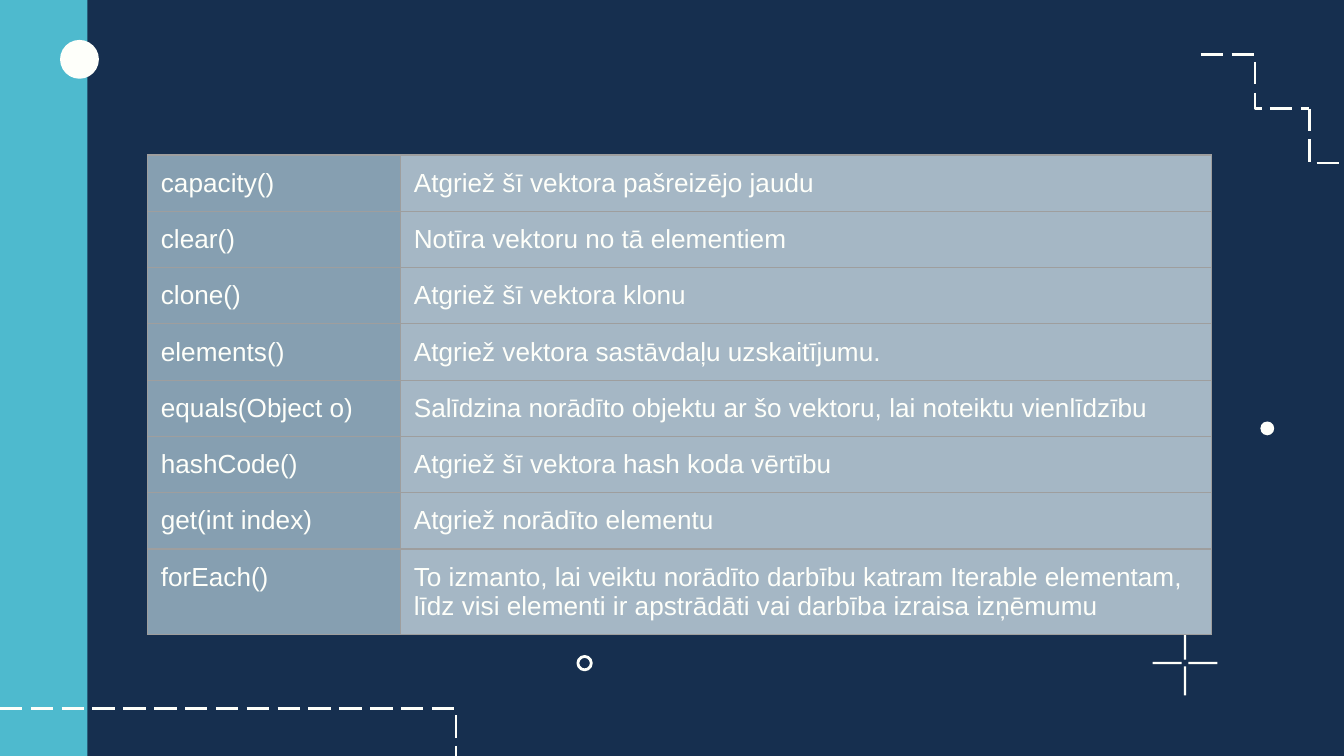
from lxml.etree import SubElement
from pptx import Presentation
from pptx.dml.color import RGBColor
from pptx.enum.dml import MSO_LINE
from pptx.enum.shapes import MSO_CONNECTOR, MSO_SHAPE
from pptx.oxml.ns import qn
from pptx.util import Pt

NAVY, TEAL, IVORY, BORDER = "162F4F", "4EBACE", "FEFFFA", "9E9E9E"
COLUMN_FILLS = ("869FB1", "A5B7C5")
COLUMN_WIDTHS = (135.5, 434.5)
ROW_HEIGHT = 30
CELL_FORMAT = {"margin_left": Pt(7.2), "margin_right": Pt(7.2),
               "margin_top": Pt(7.2), "margin_bottom": Pt(7.2)}
FONT_FORMAT = {"name": "Arial", "size": Pt(14), "bold": False}
METHODS = (
    ("capacity()", "Atgriež šī vektora pašreizējo jaudu"),
    ("clear()", "Notīra vektoru no tā elementiem"),
    ("clone()", "Atgriež šī vektora klonu"),
    ("elements()", "Atgriež vektora sastāvdaļu uzskaitījumu."),
    ("equals(Object o)", "Salīdzina norādīto objektu ar šo vektoru, lai noteiktu vienlīdzību"),
    ("hashCode()", "Atgriež šī vektora hash koda vērtību"),
    ("get(int index)", "Atgriež norādīto elementu"),
    ("forEach()", "To izmanto, lai veiktu norādīto darbību katram Iterable elementam, "
                  "līdz visi elementi ir apstrādāti vai darbība izraisa izņēmumu"),
)


def color(value):
    return RGBColor.from_string(value)


def apply_format(target, values):
    for name, value in values.items():
        setattr(target, name, value)


def add_filled(slide, kind, left, top, width, height, fill=IVORY):
    shape = slide.shapes.add_shape(kind, Pt(left), Pt(top), Pt(width), Pt(height))
    shape.shadow.inherit = False
    shape.fill.solid()
    shape.fill.fore_color.rgb = color(fill)
    shape.line.fill.background()
    return shape


def add_ring(slide, left, top, size):
    ring = add_filled(slide, MSO_SHAPE.OVAL, left, top, size, size)
    ring.fill.background()
    ring.line.color.rgb = color(IVORY)
    ring.line.width = Pt(1.5)


def add_dashed_step(slide, left, top, width, height, bend=50000, turn=None):
    connector = slide.shapes.add_connector(
        MSO_CONNECTOR.ELBOW, Pt(left), Pt(top), Pt(left + width), Pt(top + height))
    connector.line.color.rgb = color(IVORY)
    apply_format(connector.line, {"width": Pt(1.5), "dash_style": MSO_LINE.LONG_DASH})
    properties = connector._element.spPr
    SubElement(properties, qn("a:effectLst"))
    adjustments = properties.find(qn("a:prstGeom")).get_or_add_avLst()
    SubElement(adjustments, qn("a:gd"), name="adj1", fmla=f"val {bend}")
    for name, value in (turn or {}).items():
        properties.find(qn("a:xfrm")).set(name, value)


def add_cross(slide, center_x, center_y, gap=1.8, length=15.6, thickness=1.2):
    half = thickness / 2
    for offset in (-gap - length, gap):
        add_filled(slide, MSO_SHAPE.RECTANGLE, center_x - half, center_y + offset,
                   thickness, length)
        add_filled(slide, MSO_SHAPE.RECTANGLE, center_x + offset, center_y - half,
                   length, thickness)


def add_borders(cell):
    properties = cell._tc.get_or_add_tcPr()
    for side in ("lnL", "lnR", "lnT", "lnB"):
        line = SubElement(properties, qn(f"a:{side}"), w=str(Pt(0.75)))
        fill = SubElement(line, qn("a:solidFill"))
        SubElement(fill, qn("a:srgbClr"), val=BORDER)


def fill_cell(cell, text, fill):
    add_borders(cell)
    cell.fill.solid()
    cell.fill.fore_color.rgb = color(fill)
    apply_format(cell, CELL_FORMAT)
    cell.text = text
    font = cell.text_frame.paragraphs[0].runs[0].font
    apply_format(font, FONT_FORMAT)
    font.color.rgb = color(IVORY)


def add_method_table(slide, left, top):
    frame = slide.shapes.add_table(
        len(METHODS), len(COLUMN_WIDTHS), Pt(left), Pt(top),
        Pt(sum(COLUMN_WIDTHS)), Pt(ROW_HEIGHT * len(METHODS)))
    table = frame.table
    apply_format(table, {"first_row": False, "horz_banding": False})
    for column, width in zip(table.columns, COLUMN_WIDTHS):
        column.width = Pt(width)
    for row, texts in zip(table.rows, METHODS):
        row.height = Pt(ROW_HEIGHT)
        for cell, text, fill in zip(row.cells, texts, COLUMN_FILLS):
            fill_cell(cell, text, fill)


def main():
    presentation = Presentation()
    apply_format(presentation, {"slide_width": Pt(720), "slide_height": Pt(405)})
    slide = presentation.slides.add_slide(presentation.slide_layouts[6])
    slide.background.fill.solid()
    slide.background.fill.fore_color.rgb = color(NAVY)

    add_filled(slide, MSO_SHAPE.RECTANGLE, 0, 0, 46.8, 405, TEAL)
    add_dashed_step(slide, 643.2, 29.2, 58.2, 29)
    add_dashed_step(slide, 686.9, 72.7, 58.2, 29.2,
                    turn={"rot": "16200000", "flipH": "1"})
    add_filled(slide, MSO_SHAPE.OVAL, 675.2, 225.8, 7.4, 7.4)
    add_dashed_step(slide, 0, 379.5, 157.2, 80.6, bend=155400)
    add_filled(slide, MSO_SHAPE.OVAL, 32.2, 21.4, 20.8, 20.8)
    add_cross(slide, 634.9, 355.2)
    add_ring(slide, 309.6, 351.7, 7.2)
    add_method_table(slide, 79, 83)
    presentation.save("out.pptx")


main()
